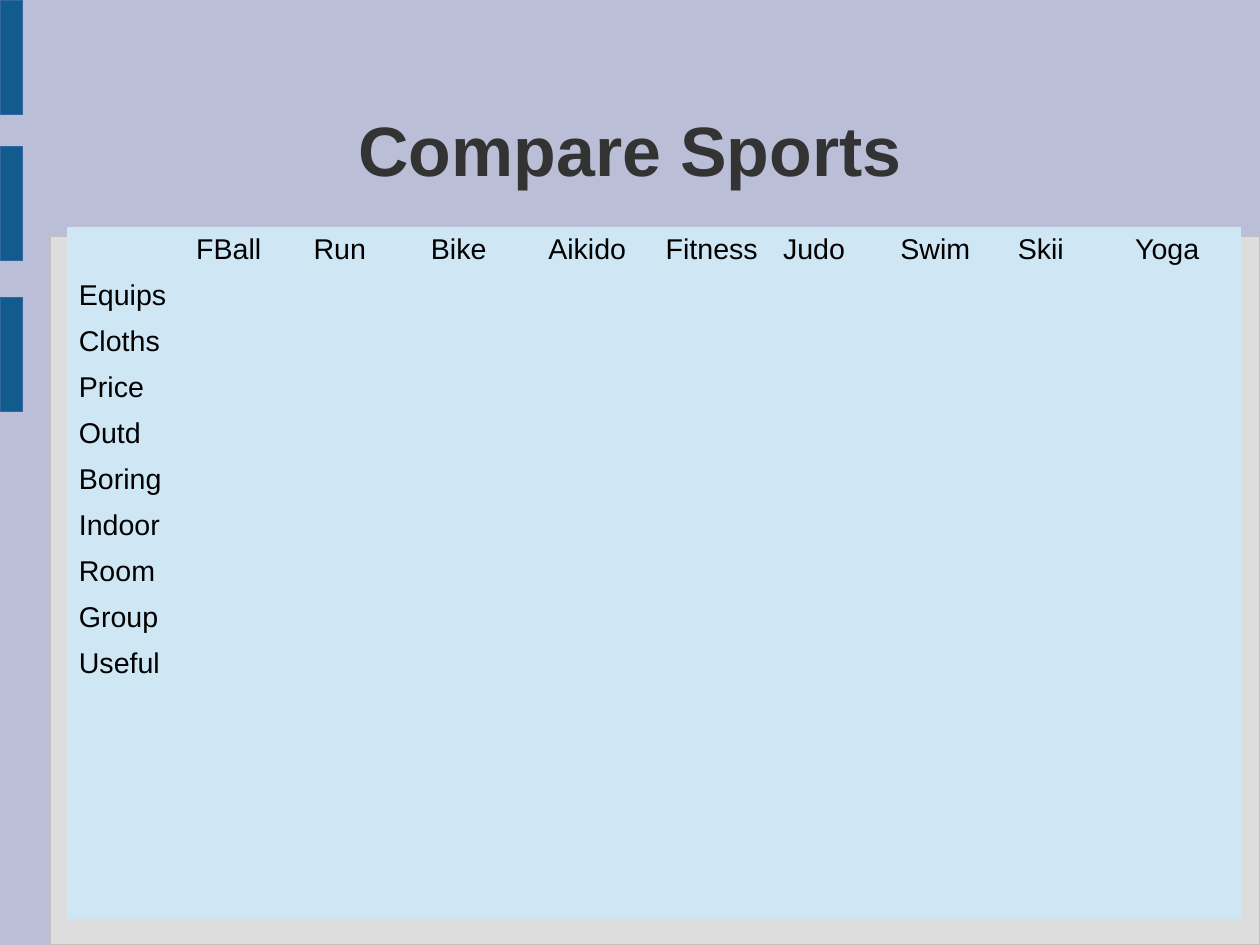
from pptx import Presentation
from pptx.dml.color import RGBColor
from pptx.enum.shapes import MSO_SHAPE as SHAPE
from pptx.enum.text import MSO_ANCHOR as ANCHOR, PP_ALIGN as ALIGN
from pptx.oxml.ns import qn
from pptx.util import Inches, Pt

CM_PER_INCH = 2.54
SLIDE_W, SLIDE_H = 28 / CM_PER_INCH, 21 / CM_PER_INCH
COLORS = {
    "background": "BABED6", "panel": "DDDDDD", "panel_line": "C0C0C0",
    "bar": "125C8D", "bar_line": "3465A4", "title": "333333",
    "cell": "CFE7F5", "text": "000000",
}
SPORTS = ["FBall", "Run", "Bike", "Aikido", "Fitness", "Judo", "Swim", "Skii", "Yoga"]
CRITERIA = ["Equips", "Cloths", "Price", "Outd", "Boring", "Indoor", "Room", "Group", "Useful"]
ROW_COUNT = 15
NO_GRID_STYLE = "{2D5ABB26-0587-4C30-8999-92F81FD0307C}"


def rgb(name):
    """Return the named colour."""
    return RGBColor.from_string(COLORS[name])


def paint(fill, name):
    """Give a fill the named solid colour."""
    fill.solid()
    fill.fore_color.rgb = rgb(name)


def write(tf, text, size=18, color="text", bold=False, align=ALIGN.LEFT):
    """Write one formatted paragraph into a text frame."""
    p = tf.paragraphs[0]
    p.alignment = align
    r = p.add_run()
    r.text = text
    r.font.name = "Arial"
    r.font.size = Pt(size)
    r.font.bold = bold
    r.font.color.rgb = rgb(color)


def add_block(s, x, y, w, h, name):
    """Add a hairline-edged rectangle."""
    sp = s.shapes.add_shape(SHAPE.RECTANGLE, Inches(x), Inches(y), Inches(w), Inches(h))
    sp.shadow.inherit = False
    paint(sp.fill, name)
    sp.line.color.rgb = rgb(name + "_line")
    sp.line.width = Pt(0)


def add_backdrop(s, x, y, w, h):
    """Add the background, the content panel and the side bars."""
    paint(s.background.fill, "background")
    add_block(s, x + 0.44, y + 2.07, w - 0.44, h - 2.07, "panel")
    for top in (0, 1.28, 2.6):
        add_block(s, x, y + top, 0.2, 1, "bar")


def add_title(s, x, y, w, h, text):
    """Add the centred slide title."""
    sp = s.shapes.add_textbox(Inches(x), Inches(y), Inches(w), Inches(h))
    tf = sp.text_frame
    tf.word_wrap = True
    tf.vertical_anchor = ANCHOR.MIDDLE
    tf.margin_left = tf.margin_right = tf.margin_top = tf.margin_bottom = 0
    write(tf, text, size=44, color="title", bold=True, align=ALIGN.CENTER)


def add_comparison(s, x, y, w, h):
    """Add the table of sports against criteria."""
    col_count = len(SPORTS) + 1
    frame = s.shapes.add_table(ROW_COUNT, col_count, Inches(x), Inches(y), Inches(w), Inches(h))
    for style in frame.element.iter(qn("a:tableStyleId")):
        style.text = NO_GRID_STYLE
    table = frame.table
    table.first_row = table.horz_banding = False
    for cell in table.iter_cells():
        paint(cell.fill, "cell")
        cell.margin_left = cell.margin_right = Inches(0.1)
        cell.margin_top = cell.margin_bottom = Inches(0.05)
    for col, sport in enumerate(SPORTS, 1):
        write(table.cell(0, col).text_frame, sport)
    for row, criterion in enumerate(CRITERIA, 1):
        write(table.cell(row, 0).text_frame, criterion)


def main():
    """Build and save the presentation."""
    prs = Presentation()
    prs.slide_width, prs.slide_height = Inches(SLIDE_W), Inches(SLIDE_H)
    s = prs.slides.add_slide(prs.slide_layouts[6])
    add_backdrop(s, 0, 0, SLIDE_W, SLIDE_H)
    add_title(s, 0.81, 0.61, 9.41, 1.38, "Compare Sports")
    add_comparison(s, 0.59, 1.99, 10.27, 6.05)
    prs.save("out.pptx")


if __name__ == "__main__":
    main()
